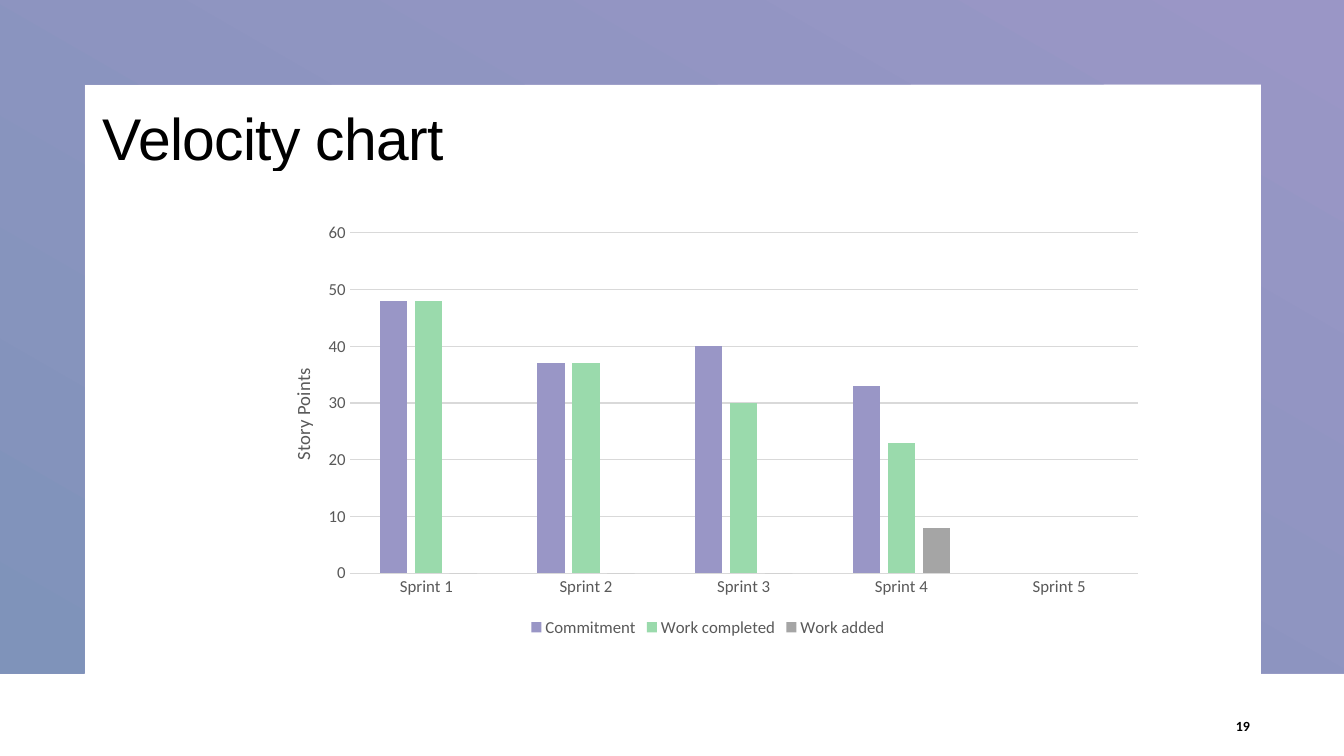
from dataclasses import dataclass

from lxml import etree
from pptx import Presentation
from pptx.chart.data import CategoryChartData
from pptx.dml.color import RGBColor
from pptx.enum.chart import XL_CHART_TYPE as ChartType
from pptx.enum.chart import XL_LEGEND_POSITION as LegendPosition
from pptx.enum.chart import XL_TICK_MARK as TickMark
from pptx.enum.shapes import MSO_SHAPE as Shape
from pptx.enum.text import MSO_ANCHOR as Anchor
from pptx.enum.text import PP_ALIGN as Align
from pptx.oxml.ns import qn
from pptx.util import Cm, Pt


@dataclass(frozen=True)
class Theme:
    title_font: str = "Arial"
    body_font: str = "Calibri"
    title_size: float = 42
    axis_title_size: float = 13.3
    label_size: float = 12
    number_size: float = 10
    ink: str = "000000"
    paper: str = "FFFFFF"
    muted: str = "595959"
    rule: str = "D9D9D9"
    frame_start: str = "9A96C6"
    frame_end: str = "7F93BA"


THEME = Theme()

SPRINTS = ["Sprint 1 ", "Sprint 2", "Sprint 3", "Sprint 4", "Sprint 5"]
SERIES = [
    ("Commitment", [48, 37, 40, 33, None], "9996C6"),
    ("Work completed", [48, 37, 30, 23, None], "9ADAAC"),
    ("Work added", [0, 0, 0, 8, None], "A5A5A5"),
]


def color(value):
    return RGBColor.from_string(value)


def format_font(font, size, ink, name=THEME.body_font, bold=False):
    font.size = Pt(size)
    font.name = name
    font.bold = bold
    font.color.rgb = color(ink)


def write_text(box, text, *, size, ink=THEME.ink, name=THEME.body_font, bold=False,
               align=Align.LEFT, line_spacing=1.0, tracking=None):
    frame = box.text_frame
    frame.word_wrap = True
    frame.vertical_anchor = Anchor.MIDDLE
    para = frame.paragraphs[0]
    para.alignment = align
    para.line_spacing = line_spacing
    para.space_before = Pt(0)
    span = para.add_run()
    span.text = text
    format_font(span.font, size, ink, name, bold)
    if tracking is not None:
        span.font._element.set("spc", str(round(tracking * 100)))


def place(box, left, top, width, height):
    box.left, box.top, box.width, box.height = map(Cm, (left, top, width, height))


def add_frame(page):
    """Gradient border, open at the bottom, behind everything else."""
    right, bottom, inset, inner_right = 33.87, 16.97, 2.13, 31.78
    corners = [(right, 0), (right, bottom), (inner_right, bottom), (inner_right, inset),
               (inset, inset), (inset, bottom), (0, bottom)]
    builder = page.shapes.build_freeform(0, 0)
    builder.add_line_segments([(Cm(x), Cm(y)) for x, y in corners], close=True)
    frame = builder.convert_to_shape()
    frame.shadow.inherit = False
    frame.line.fill.background()
    frame.fill.gradient()
    frame.fill.gradient_angle = 240
    stops = frame.fill.gradient_stops
    for stop, position, value in zip(stops, (0, 1), (THEME.frame_start, THEME.frame_end)):
        stop.position = position
        stop.color.rgb = color(value)
    page.shapes._spTree.insert(2, frame._element)


def add_panel(page, left, top, width, height):
    panel = page.shapes.add_shape(Shape.RECTANGLE, *map(Cm, (left, top, width, height)))
    panel.shadow.inherit = False
    panel.fill.solid()
    panel.fill.fore_color.rgb = color(THEME.paper)
    panel.line.color.rgb = color(THEME.paper)
    panel.line.width = Pt(1)


def set_layout(parent, index, **fractions):
    """Fix a chart part at fractions of the chart area."""
    for old in parent.findall(qn("c:layout")):
        parent.remove(old)
    layout = etree.Element(qn("c:layout"))
    manual = etree.SubElement(layout, qn("c:manualLayout"))
    if "w" in fractions:
        etree.SubElement(manual, qn("c:layoutTarget")).set("val", "inner")
    for side in ("x", "y"):
        etree.SubElement(manual, qn(f"c:{side}Mode")).set("val", "edge")
    for key, value in fractions.items():
        etree.SubElement(manual, qn(f"c:{key}")).set("val", str(value))
    parent.insert(index, layout)


def style_axis(axis):
    axis.major_tick_mark = axis.minor_tick_mark = TickMark.NONE
    format_font(axis.tick_labels.font, THEME.label_size, THEME.muted)


def style_rule(line):
    line.color.rgb = color(THEME.rule)
    line.width = Pt(0.75)


def style_axes(chart):
    sprints, points = chart.category_axis, chart.value_axis
    style_axis(sprints)
    style_axis(points)
    style_rule(sprints.format.line)
    style_rule(points.major_gridlines.format.line)
    points.format.line.fill.background()
    points.minimum_scale, points.maximum_scale, points.major_unit = 0, 60, 10

    # Value axis title, reading upwards
    title = points.axis_title
    title.text_frame.text = "Story Points"
    span = title.text_frame.paragraphs[0].runs[0]
    format_font(span.font, THEME.axis_title_size, THEME.muted)
    body = title.text_frame._txBody.find(qn("a:bodyPr"))
    body.set("rot", "-5400000")
    body.set("vert", "horz")
    set_layout(title._element, 1, x=0.03, y=0.35)


def add_velocity_chart(page, left, top, width, height):
    data = CategoryChartData()
    data.categories = SPRINTS
    for name, values, _ in SERIES:
        data.add_series(name, values)
    chart = page.shapes.add_chart(
        ChartType.COLUMN_CLUSTERED, *map(Cm, (left, top, width, height)), data).chart
    format_font(chart.font, THEME.number_size, THEME.ink)
    chart.has_title = False

    # Columns
    plot = chart.plots[0]
    plot.gap_width, plot.overlap = 219, -27
    plot.vary_by_categories = False
    for series, (_, _, value) in zip(plot.series, SERIES):
        series.format.fill.solid()
        series.format.fill.fore_color.rgb = color(value)

    # Axes and legend
    style_axes(chart)
    chart.has_legend = True
    chart.legend.position = LegendPosition.BOTTOM
    chart.legend.include_in_layout = False
    format_font(chart.legend.font, THEME.label_size, THEME.muted)
    plot_area = chart._chartSpace.find(".//" + qn("c:plotArea"))
    set_layout(plot_area, 0, x=0.1, y=0.04, w=0.88, h=0.8)


def main():
    deck = Presentation()
    deck.slide_width, deck.slide_height = Cm(33.87), Cm(19.05)
    page = deck.slides.add_slide(deck.slide_layouts[5])
    add_frame(page)

    # Title
    title = page.shapes.title
    place(title, 2.34, 2.51, 25.4, 2.08)
    write_text(title, "Velocity chart", size=THEME.title_size, name=THEME.title_font,
               line_spacing=0.95, tracking=-0.5)

    # Page number
    number = page.shapes.add_textbox(Cm(30.28), Cm(17.78), Cm(1.47), Cm(1.02))
    write_text(number, "19", size=THEME.number_size, bold=True, align=Align.RIGHT)

    # Chart on its white panel
    add_panel(page, 6.55, 4.32, 21.95, 12.95)
    add_velocity_chart(page, 6.55, 5.44, 22.58, 10.72)
    deck.save("out.pptx")


if __name__ == "__main__":
    main()
